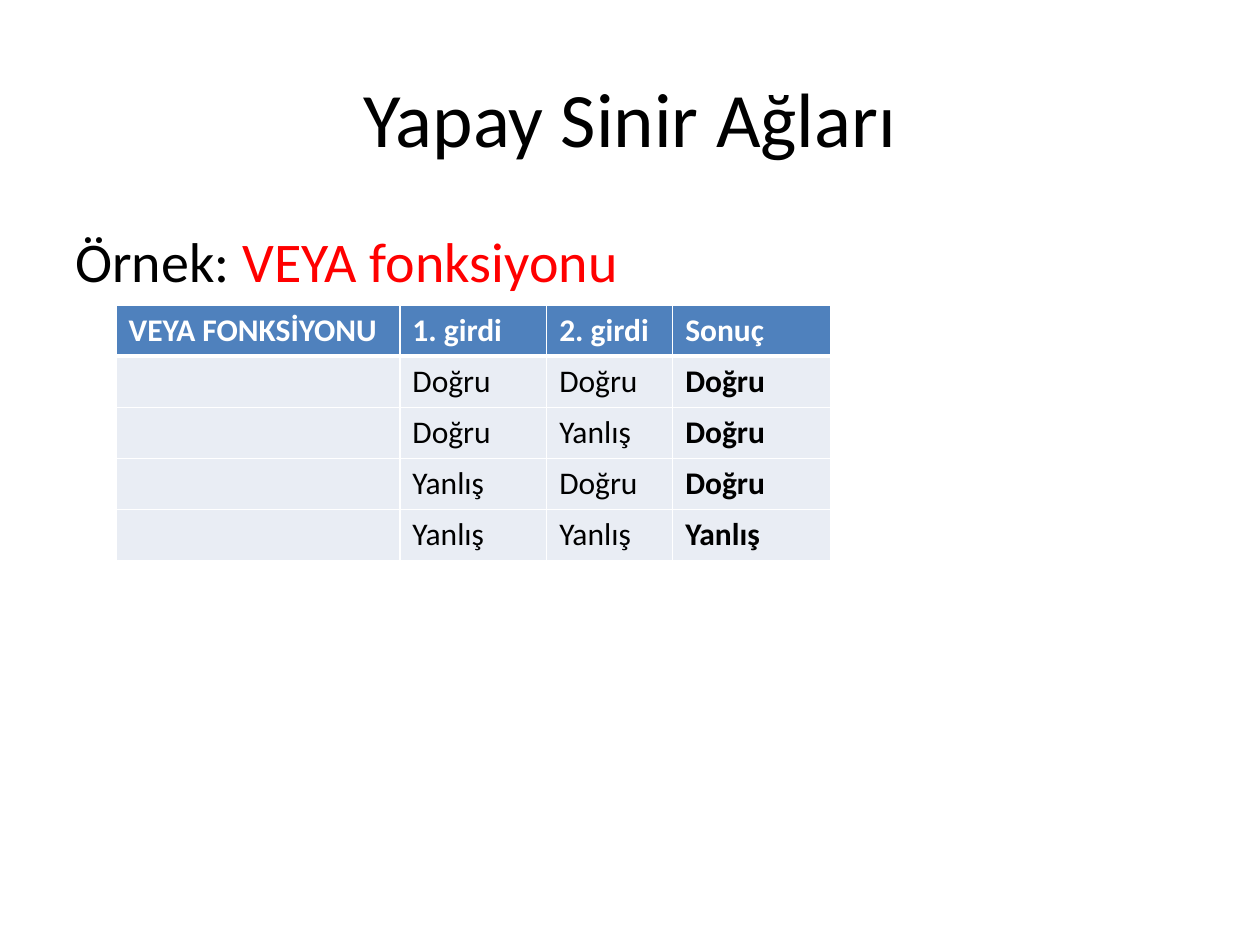
from itertools import product

from lxml.etree import SubElement as Sub
from pptx import Presentation
from pptx.dml.color import RGBColor as Rgb
from pptx.enum.text import MSO_ANCHOR as Anchor, PP_ALIGN as Align
from pptx.oxml.ns import qn
from pptx.util import Cm, Pt

COLORS = {"text": "000000", "accent": "FF0000", "head": "4F81BD",
          "body": "E9EDF4", "line": "FFFFFF"}
FONT = "Calibri"
WORDS = {True: "Doğru", False: "Yanlış"}
HEADS = ["VEYA FONKSİYONU", "1. girdi", "2. girdi", "Sonuç"]
ROWS = [["", WORDS[a], WORDS[b], WORDS[a or b]]
        for a, b in product([True, False], repeat=2)]


def color(name):
    """Return the named colour."""
    return Rgb.from_string(COLORS[name])


def style(font, size, name="text", bold=False):
    """Set the face, size, colour and weight of a font."""
    font.name, font.size, font.bold = FONT, Pt(size), bold
    font.color.rgb = color(name)


def add_text(slide, box):
    """Add a wrapping text box and return its frame."""
    frame = slide.shapes.add_textbox(*map(Cm, box)).text_frame
    frame.word_wrap = True
    return frame


def add_title(slide, box):
    """Add the centred slide title."""
    frame = add_text(slide, box)
    frame.vertical_anchor = Anchor.MIDDLE
    para = frame.paragraphs[0]
    para.text = "Yapay Sinir Ağları"
    para.alignment = Align.CENTER
    style(para.font, 44)


def add_body(slide, box):
    """Add the example line with its coloured function name."""
    para = add_text(slide, box).paragraphs[0]
    props = para._p.get_or_add_pPr()
    props.set("marL", str(Cm(0.95)))
    props.set("indent", str(Cm(-0.95)))
    for text, name in [("Örnek: ", "text"), ("VEYA fonksiyonu", "accent")]:
        run = para.add_run()
        run.text = text
        style(run.font, 32, name)


def add_edges(cell, below):
    """Draw the cell borders, the bottom one with its own width."""
    props = cell._tc.get_or_add_tcPr()
    for side, width in zip("LRTB", (1, 1, 1, below)):
        line = Sub(props, qn(f"a:ln{side}"), w=str(Pt(width)))
        Sub(Sub(line, qn("a:solidFill")), qn("a:srgbClr"), val=COLORS["line"])


def add_truth(slide, box):
    """Add the truth table of the OR function."""
    data = [HEADS] + ROWS
    table = slide.shapes.add_table(len(data), len(HEADS), *map(Cm, box)).table
    table.horz_banding = False
    for col, width in zip(table.columns, (5.72, 2.96, 2.54, 3.18)):
        col.width = Cm(width)
    for r, texts in enumerate(data):
        head = r == 0
        for c, text in enumerate(texts):
            cell = table.cell(r, c)
            add_edges(cell, 3 if head else 1)
            cell.fill.solid()
            cell.fill.fore_color.rgb = color("head" if head else "body")
            para = cell.text_frame.paragraphs[0]
            para.text = text
            style(para.font, 18, "line" if head else "text",
                  head or c == len(HEADS) - 1)


def main():
    """Build and save the slide."""
    deck = Presentation()
    deck.slide_width, deck.slide_height = Cm(25.4), Cm(19.05)
    slide = deck.slides.add_slide(deck.slide_layouts[6])
    add_title(slide, (1.27, 0.76, 22.86, 3.18))
    add_body(slide, (1.27, 4.45, 22.86, 13.54))
    add_truth(slide, (2.34, 6.15, 14.4, 5.15))
    deck.save("out.pptx")


if __name__ == "__main__":
    main()
